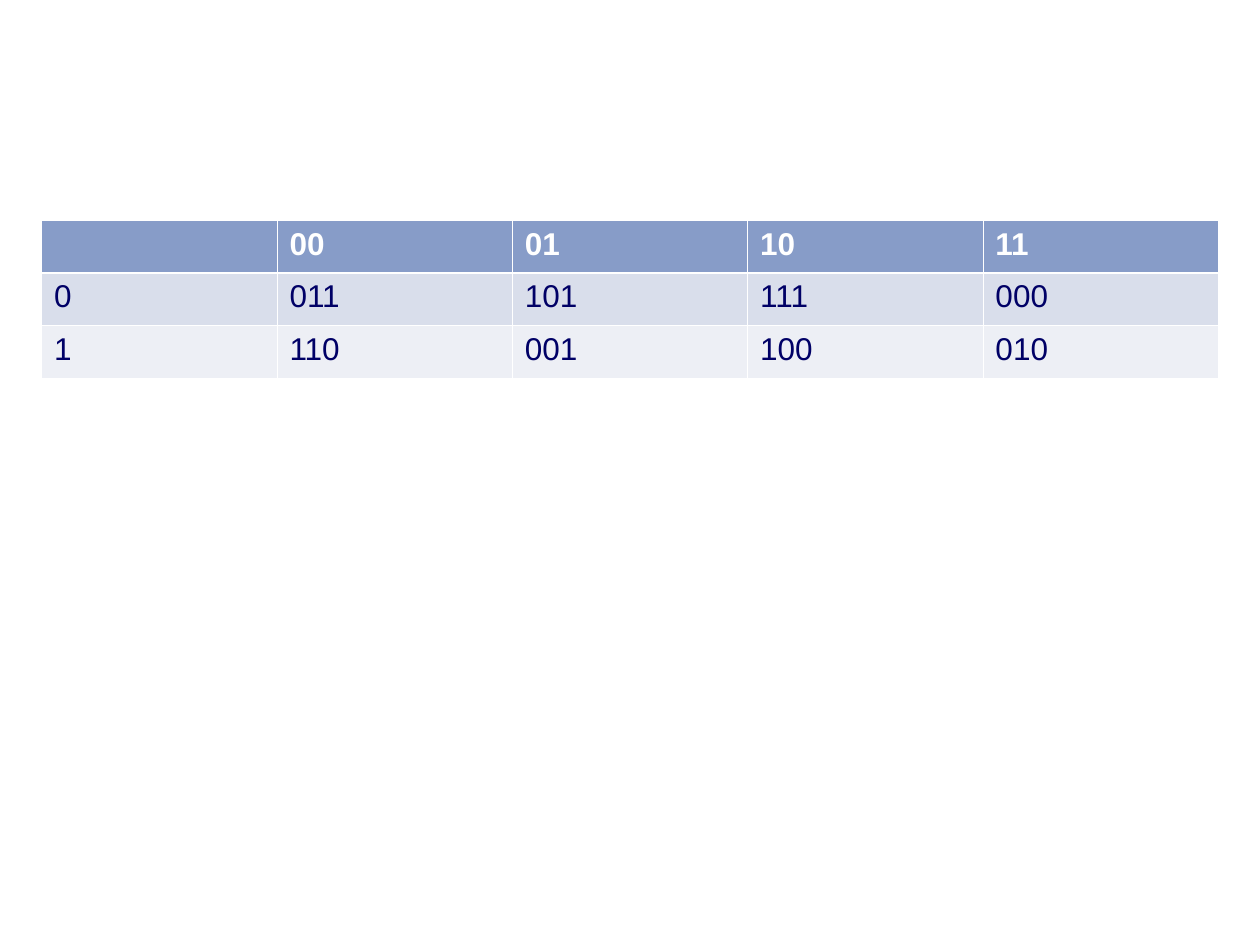
from lxml import etree
from pptx import Presentation
from pptx import util as u
from pptx.dml.color import RGBColor
from pptx.oxml.ns import qn

HEADER_FILL = "879CC8"
BODY_FILLS = ("D9DEEB", "EDEFF5")
WHITE = "FFFFFF"
NAVY = "000066"
THIN, THICK = 0.45, 1.47
CODES = (
    ("", "00", "01", "10", "11"),
    ("0", "011", "101", "111", "000"),
    ("1", "110", "001", "100", "010"),
)


def color(value):
    return RGBColor.from_string(value)


def write_text(frame, content, size=18, name="Arial", fill=NAVY, bold=False):
    paragraph = frame.paragraphs[0]
    paragraph.text = content
    font = paragraph.font
    font.size = u.Pt(size)
    font.name = name
    font.bold = bold
    font.color.rgb = color(fill)


def set_borders(cell, **widths):
    properties = cell._tc.get_or_add_tcPr()
    for side in "LRTB":
        width = widths.get(side, THIN)
        line = etree.SubElement(properties, qn(f"a:ln{side}"), w=str(u.Pt(width)))
        solid = etree.SubElement(line, qn("a:solidFill"))
        etree.SubElement(solid, qn("a:srgbClr"), val=WHITE)


def add_code_table(slide, left, top, width, height):
    row_count, column_count = len(CODES), len(CODES[0])
    table = slide.shapes.add_table(
        row_count, column_count, left, top, width, height
    ).table
    for column in table.columns:
        column.width = width // column_count
    for row in table.rows:
        row.height = height // row_count
    for row_index, values in enumerate(CODES):
        header = row_index == 0
        fill = HEADER_FILL if header else BODY_FILLS[(row_index - 1) % 2]
        for column_index, value in enumerate(values):
            cell = table.cell(row_index, column_index)
            set_borders(
                cell,
                T=THICK if row_index == 1 else THIN,
                B=THICK if header else THIN,
            )
            cell.fill.solid()
            cell.fill.fore_color.rgb = color(fill)
            write_text(
                cell.text_frame, value, fill=WHITE if header else NAVY, bold=header
            )


def main():
    presentation = Presentation()
    presentation.slide_width = u.Inches(10)
    presentation.slide_height = u.Inches(7.5)
    slide = presentation.slides.add_slide(presentation.slide_layouts[6])
    add_code_table(
        slide, u.Inches(0.33), u.Inches(1.75), u.Inches(9.34), u.Inches(1.25)
    )
    presentation.save("out.pptx")


if __name__ == "__main__":
    main()
